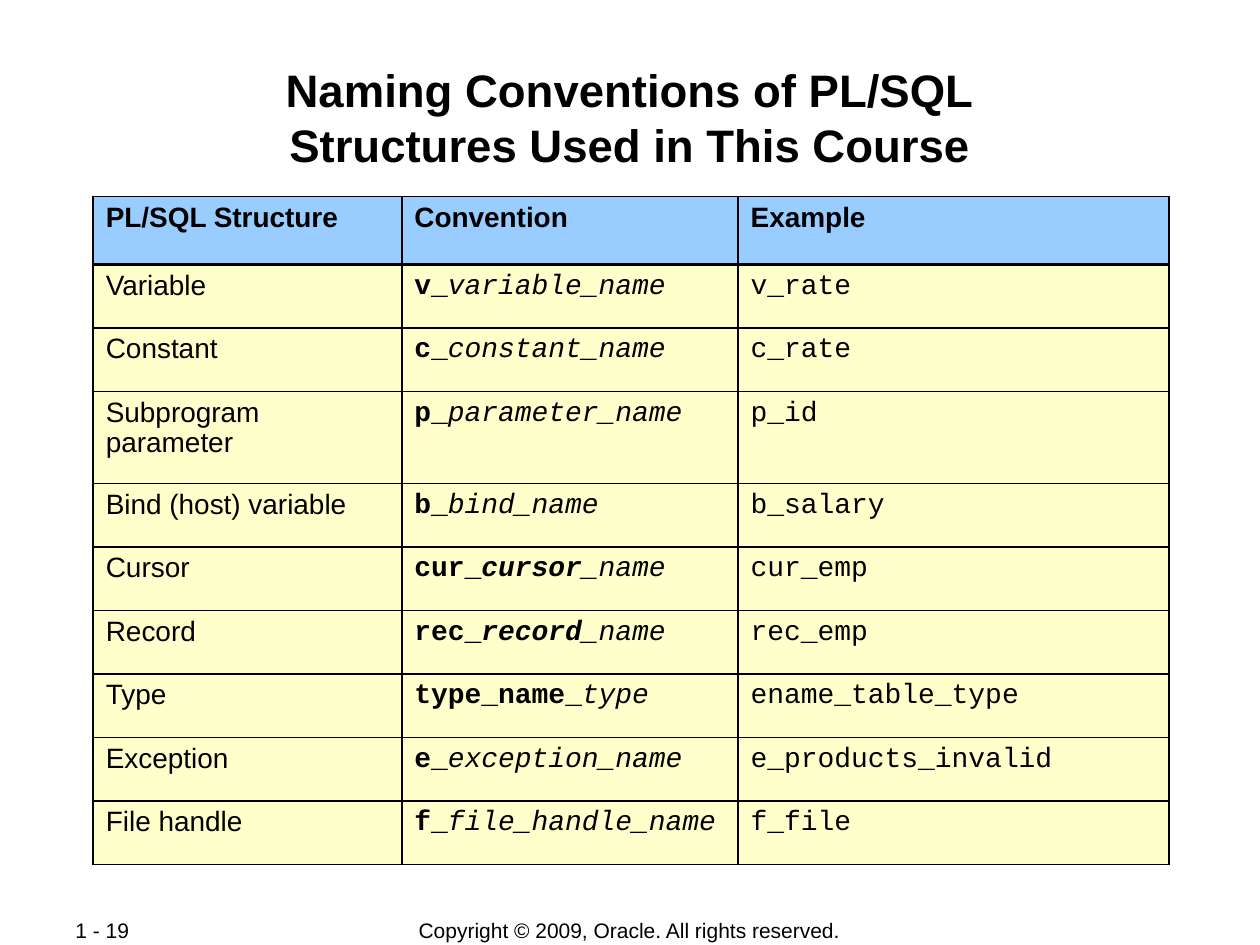
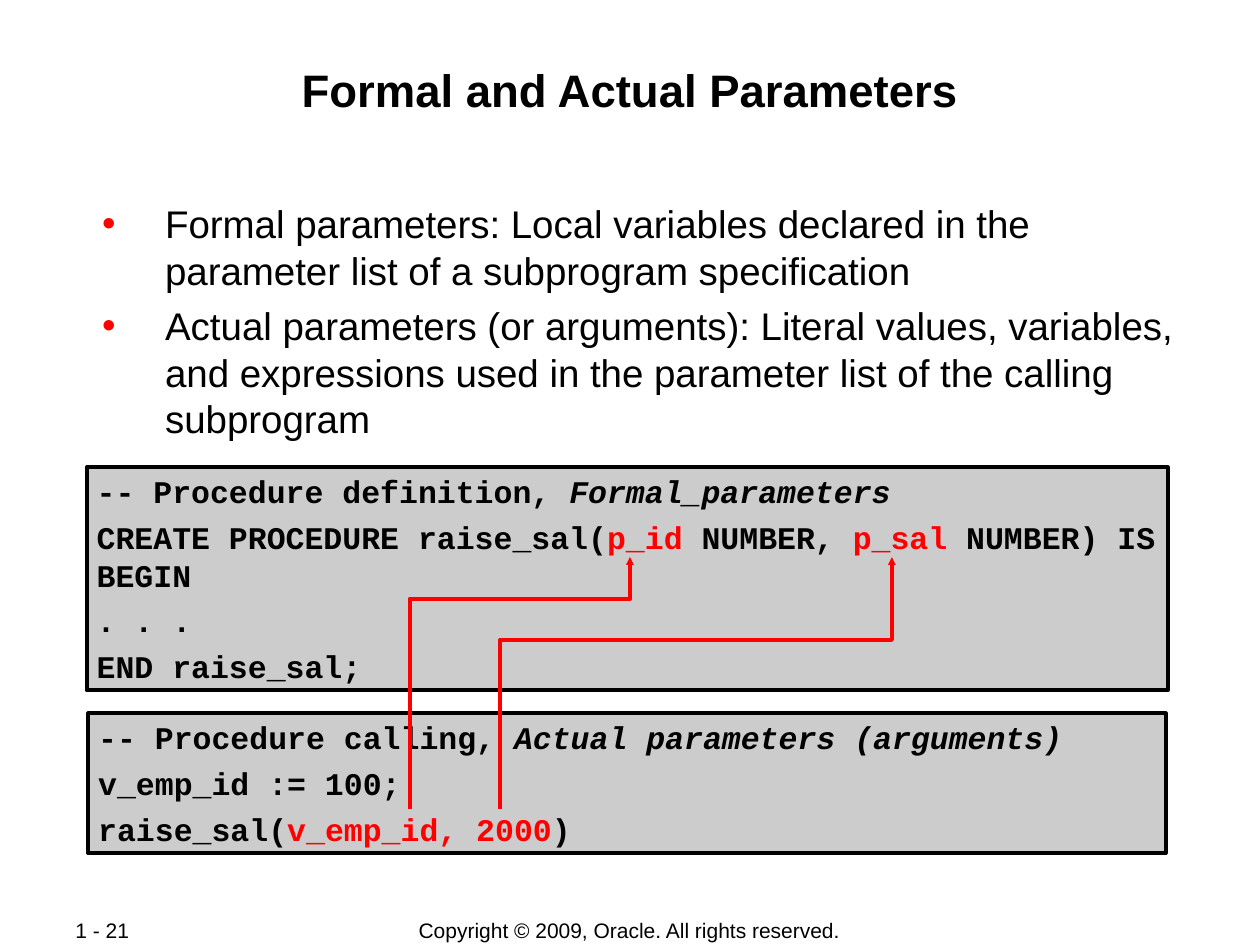
"""Build two slides on naming conventions and parameters of PL/SQL."""
from lxml.etree import SubElement
from pptx import Presentation
from pptx.dml.color import RGBColor
from pptx.enum.shapes import MSO_SHAPE
from pptx.enum.text import MSO_ANCHOR, PP_ALIGN
from pptx.oxml.ns import qn
from pptx.util import Cm, Pt

BLACK, RED, GREY = "000000", "FF0000", "CCCCCC"
HEADER_BLUE, ROW_YELLOW = "99CCFF", "FFFFCC"
SANS, MONO = "Arial", "Courier New"
BOLD, ITALIC = {"bold": True}, {"italic": True}
BOLD_ITALIC = {"bold": True, "italic": True}
COPYRIGHT = "Copyright © 2009, Oracle. All rights reserved."


def paint(fill, color):
    fill.solid()
    fill.fore_color.rgb = RGBColor.from_string(color)


def write(frame, paragraphs, size=16, font=SANS, align=PP_ALIGN.LEFT, anchor=MSO_ANCHOR.TOP,
          before=0, spacing=1.0, margins=None, bullet=None, **look):
    frame.word_wrap = True
    frame.vertical_anchor = anchor
    if margins:
        frame.margin_left = frame.margin_right = Cm(margins[0])
        frame.margin_top = frame.margin_bottom = Cm(margins[1])
    for index, runs in enumerate(paragraphs):
        paragraph = frame.add_paragraph() if index else frame.paragraphs[0]
        paragraph.alignment = align
        paragraph.line_spacing = spacing
        if index:
            paragraph.space_before = Pt(before)
        if bullet:
            properties = paragraph._p.get_or_add_pPr()
            properties.set("marL", str(Cm(1.6)))
            properties.set("indent", str(-Cm(1.27)))
            SubElement(SubElement(properties, qn("a:buClr")), qn("a:srgbClr"), val=RED)
            SubElement(properties, qn("a:buFont"), typeface=SANS)
            SubElement(properties, qn("a:buChar"), char=bullet)
        for text, changes in [(runs, {})] if isinstance(runs, str) else runs:
            style = {"bold": False, "italic": False, "color": BLACK, **look, **changes}
            for line_number, line in enumerate(text.split("\n")):
                if line_number:
                    paragraph.add_line_break()
                run = paragraph.add_run()
                run.text = line
                run.font.name, run.font.size = font, Pt(size)
                run.font.bold, run.font.italic = style["bold"], style["italic"]
                paint(run.font.fill, style["color"])


deck = Presentation()
deck.slide_width, deck.slide_height = Cm(25.4), Cm(19.05)

slides = []
for title, number in [("Naming Conventions of PL/SQL\nStructures Used in This Course", "1 - 19"),
                      ("Formal and Actual Parameters", "1 - 21")]:
    slide = deck.slides.add_slide(deck.slide_layouts[6])
    slides.append(slide)
    heading = slide.shapes.add_textbox(Cm(1.7), Cm(1.22), Cm(22), Cm(2.44))
    write(heading.text_frame, [title], size=26, align=PP_ALIGN.CENTER, margins=(0.03, 0.03), bold=True)
    for left, width, text, align in [(6.99, 11.4, COPYRIGHT, PP_ALIGN.CENTER),
                                     (1.27, 2.7, number, PP_ALIGN.LEFT)]:
        footer = slide.shapes.add_textbox(Cm(left), Cm(18.49), Cm(width), Cm(0.52))
        write(footer.text_frame, [text], size=12, align=align, anchor=MSO_ANCHOR.MIDDLE)
naming, parameters = slides

conventions = [
    ("PL/SQL Structure", "Convention", "Example"),
    ("Variable", [("v_", BOLD), ("variable_name", ITALIC)], "v_rate"),
    ("Constant", [("c_", BOLD), ("constant_name", ITALIC)], "c_rate"),
    ("Subprogram parameter", [("p_", BOLD), ("parameter_name", ITALIC)], "p_id"),
    ("Bind (host) variable", [("b_", BOLD), ("bind_name", ITALIC)], "b_salary"),
    ("Cursor", [("cur_", BOLD), ("cursor", BOLD_ITALIC), ("_name", ITALIC)], "cur_emp"),
    ("Record", [("rec_", BOLD), ("record", BOLD_ITALIC), ("_name", ITALIC)], "rec_emp"),
    ("Type", [("type_name", BOLD), ("_", {}), ("type", ITALIC)], "ename_table_type"),
    ("Exception", [("e_", BOLD), ("exception_name", ITALIC)], "e_products_invalid"),
    ("File handle", [("f_", BOLD), ("file_handle_name", ITALIC)], "f_file"),
]
table = naming.shapes.add_table(len(conventions), 3, Cm(1.88), Cm(3.96), Cm(21.69), Cm(13.49)).table
for column, width in zip(table.columns, (6.22, 6.78, 8.69)):
    column.width = Cm(width)
for row_index, entries in enumerate(conventions):
    is_header = row_index == 0
    table.rows[row_index].height = Cm({0: 1.37, 3: 1.86}.get(row_index, 1.28))
    for column_index, entry in enumerate(entries):
        cell = table.cell(row_index, column_index)
        write(cell.text_frame, [entry], spacing=0.98, bold=is_header,
              font=MONO if column_index and not is_header else SANS)
        cell_properties = cell._tc.get_or_add_tcPr()
        for side in ("lnL", "lnR", "lnT", "lnB"):
            under_header = (row_index, side) in [(0, "lnB"), (1, "lnT")]
            border = SubElement(cell_properties, qn(f"a:{side}"), w=str(Pt(2.2 if under_header else 1.1)))
            SubElement(SubElement(border, qn("a:solidFill")), qn("a:srgbClr"), val=BLACK)
        paint(cell.fill, HEADER_BLUE if is_header else ROW_YELLOW)

definitions = parameters.shapes.add_textbox(Cm(1.7), Cm(4.01), Cm(22), Cm(4.93))
write(definitions.text_frame, [
    "Formal parameters: Local variables declared in the parameter list of a subprogram specification",
    "Actual parameters (or arguments): Literal values, variables, and expressions used in the "
    "parameter list of the calling subprogram",
], size=22, before=5.5, margins=(0.03, 0.03), bullet="•")

marked = {"color": RED}
procedure_definition = [
    [("-- Procedure definition, ", {}), ("Formal_parameters", ITALIC)],
    [("CREATE PROCEDURE raise_sal(", {}), ("p_id ", marked), ("NUMBER, ", {}),
     ("p_sal ", marked), ("NUMBER) IS\nBEGIN", {})],
    ". . .",
    "END raise_sal;",
]
procedure_call = [
    [("-- Procedure calling, ", {}), ("Actual parameters (arguments)", ITALIC)],
    "v_emp_id := 100;",
    [("raise_sal(", {}), ("v_emp_id, 2000", marked), (")", {})],
]
for code, left, top, width, height in [(procedure_definition, 1.75, 9.42, 21.79, 4.5),
                                       (procedure_call, 1.78, 14.38, 21.72, 2.82)]:
    listing = parameters.shapes.add_shape(MSO_SHAPE.RECTANGLE, Cm(left), Cm(top), Cm(width), Cm(height))
    listing.shadow.inherit = False
    paint(listing.fill, GREY)
    paint(listing.line.fill, BLACK)
    listing.line.width = Pt(2.25)
    write(listing.text_frame, code, size=18, font=MONO, before=4.5, margins=(0.2, 0.1), bold=True)

for actual_x, bend_y, formal_x in [(8.26, 12.07, 12.7), (10.08, 12.9, 17.98)]:
    route = parameters.shapes.build_freeform(Cm(actual_x), Cm(16.31))
    route.add_line_segments([(Cm(actual_x), Cm(bend_y)), (Cm(formal_x), Cm(bend_y)),
                             (Cm(formal_x), Cm(11.23))], close=False)
    arrow = route.convert_to_shape()
    arrow.shadow.inherit = False
    arrow.fill.background()
    paint(arrow.line.fill, RED)
    arrow.line.width = Pt(2.25)
    SubElement(arrow._element.spPr.find(qn("a:ln")), qn("a:tailEnd"), type="triangle", w="sm", len="sm")

deck.save("out.pptx")
